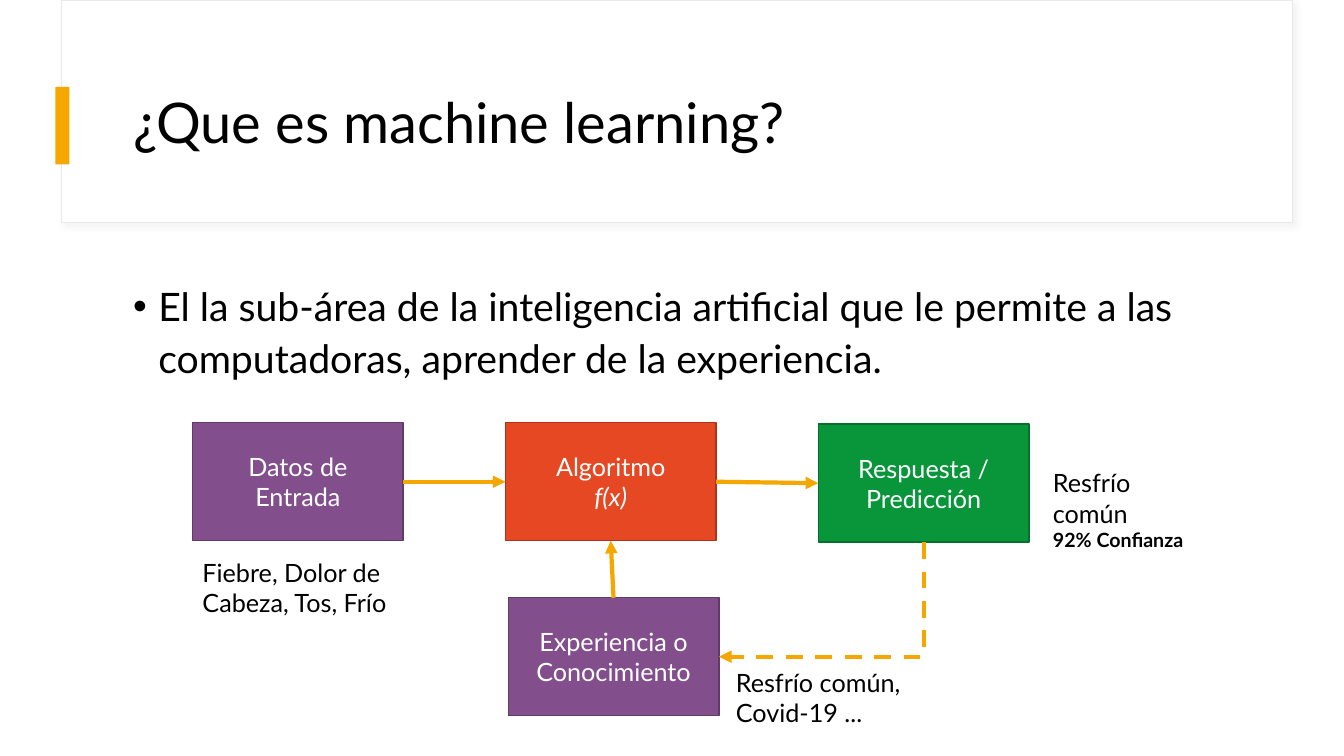
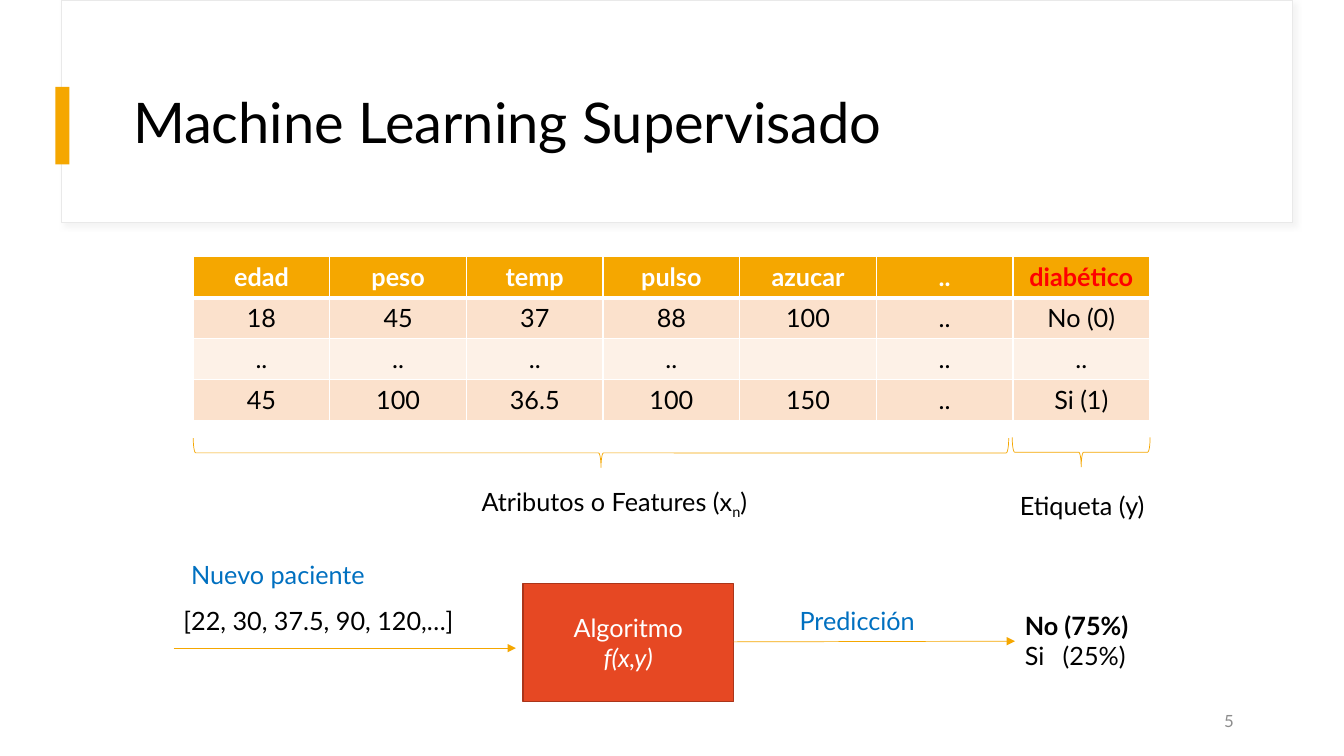
from dataclasses import dataclass

import pptx
import pptx.dml.color
import pptx.enum.dml
import pptx.enum.shapes
import pptx.enum.text
import pptx.oxml
import pptx.oxml.ns
import pptx.util

Pt = pptx.util.Pt
qn = pptx.oxml.ns.qn
SHAPE = pptx.enum.shapes.MSO_SHAPE
CONNECTOR = pptx.enum.shapes.MSO_CONNECTOR
ALIGN = pptx.enum.text.PP_ALIGN
ANCHOR = pptx.enum.text.MSO_ANCHOR
NS = 'xmlns:a="http://schemas.openxmlformats.org/drawingml/2006/main"'

FONT = "Lato"
AMBER, BLACK, WHITE, BLUE, RED = "F5A700", "000000", "FFFFFF", "0070C0", "FF0000"
PURPLE, ORANGE, GREEN = ("824F8C", "603A68"), ("E64823", "AA351A"), ("09963B", "076F2C")
BAND_DARK, BAND_LIGHT, GREY = "FBE1CC", "FDF1E7", "8C8C8C"

BOX_W, BOX_H = 150.5, 84.25
TOP, LEFT, BOTTOM, RIGHT = range(4)  # connection sites of a rectangle


@dataclass
class Box:
    text: str
    x: float
    y: float
    colors: tuple[str, str]


@dataclass
class Label:
    text: str
    x: float
    y: float
    w: float
    h: float = 28.8
    color: str = BLACK


# Helpers
def rgb(color: str) -> pptx.dml.color.RGBColor:
    return pptx.dml.color.RGBColor.from_string(color)


def xml(markup: str):
    return pptx.oxml.parse_xml(markup)


def format_runs(tf, size: float, color: str, bold: bool = False, align=None) -> list:
    """Style every run of a text frame and return the runs."""
    runs = []
    for p in tf.paragraphs:
        p.alignment = align
        for r in p.runs:
            r.font.name = FONT
            r.font.size = Pt(size)
            r.font.bold = bold
            r.font.color.rgb = rgb(color)
            runs.append(r)
    return runs


def add_rect(s, x: float, y: float, w: float, h: float, fill: str,
             line: str | None = None, line_w: float = 1):
    sp = s.shapes.add_shape(SHAPE.RECTANGLE, Pt(x), Pt(y), Pt(w), Pt(h))
    sp.shadow.inherit = False
    sp.fill.solid()
    sp.fill.fore_color.rgb = rgb(fill)
    if line:
        sp.line.color.rgb = rgb(line)
        sp.line.width = Pt(line_w)
    else:
        sp.line.fill.background()
    return sp


def add_text(s, x: float, y: float, w: float, h: float, text: str,
             size: float = 18, color: str = BLACK, anchor=ANCHOR.TOP, align=None):
    sp = s.shapes.add_textbox(Pt(x), Pt(y), Pt(w), Pt(h))
    tf = sp.text_frame
    tf.word_wrap = True
    tf.vertical_anchor = anchor
    tf.text = text
    format_runs(tf, size, color, align=align)
    return sp


def add_label(s, label: Label):
    sp = add_text(s, label.x, label.y, label.w, label.h, label.text, color=label.color)
    sp.text_frame.auto_size = pptx.enum.text.MSO_AUTO_SIZE.SHAPE_TO_FIT_TEXT
    return sp


def add_box(s, box: Box):
    """Draw a box; a second line after a line break is set in italics."""
    sp = add_rect(s, box.x, box.y, BOX_W, BOX_H, *box.colors)
    tf = sp.text_frame
    tf.word_wrap = True
    tf.vertical_anchor = ANCHOR.MIDDLE
    tf.text = box.text
    format_runs(tf, 18, WHITE, align=ALIGN.CENTER)
    for r in tf.paragraphs[0].runs[1:]:
        r.font.italic = True
    return sp


def add_arrow(s, x1: float = 0, y1: float = 0, x2: float = 0, y2: float = 0,
              width: float = 3, kind=CONNECTOR.STRAIGHT):
    c = s.shapes.add_connector(kind, Pt(x1), Pt(y1), Pt(x2), Pt(y2))
    c.line.color.rgb = rgb(AMBER)
    c.line.width = Pt(width)
    c.line._get_or_add_ln().append(xml(f'<a:tailEnd {NS} type="triangle"/>'))
    c._element.spPr.append(xml(f"<a:effectLst {NS}/>"))
    return c


def link(s, start, start_site: int, end, end_site: int) -> None:
    c = add_arrow(s)
    c.begin_connect(start, start_site)
    c.end_connect(end, end_site)


def link_down_left(s, start, end) -> None:
    """Dashed arrow from the bottom of one box, down and left into another."""
    x1, y1 = start.left + start.width // 2, start.top + start.height
    x2, y2 = end.left + end.width, end.top + end.height // 2
    c = add_arrow(s, kind=CONNECTOR.ELBOW)
    c.begin_connect(start, BOTTOM)
    c.end_connect(end, RIGHT)
    c.line.dash_style = pptx.enum.dml.MSO_LINE.DASH
    # A quarter turn swaps the width and the height
    xfrm = c._element.spPr.find(qn("a:xfrm"))
    for flip in ("flipH", "flipV"):
        xfrm.attrib.pop(flip, None)
    xfrm.set("rot", "5400000")
    c._element.spPr.find(qn("a:prstGeom")).set("prst", "bentConnector2")
    w, h = y2 - y1, x1 - x2
    c.left, c.top = (x1 + x2 - w) // 2, (y1 + y2 - h) // 2
    c.width, c.height = w, h


def add_brace(s, x: float, y: float, span: float, depth: float = 21) -> None:
    """Horizontal brace that points down."""
    sp = s.shapes.add_shape(SHAPE.RIGHT_BRACE, Pt(x + (span - depth) / 2),
                            Pt(y + (depth - span) / 2), Pt(depth), Pt(span))
    sp.rotation = 90
    sp.shadow.inherit = False
    sp.fill.background()
    sp.line.color.rgb = rgb(AMBER)
    sp.line.width = Pt(0.5)


def set_borders(cell, top: float, bottom: float) -> None:
    tc_pr = cell._tc.get_or_add_tcPr()
    for side, width in (("L", 1), ("R", 1), ("T", top), ("B", bottom)):
        tc_pr.append(xml(
            f'<a:ln{side} {NS} w="{Pt(width)}"><a:solidFill>'
            f'<a:srgbClr val="{WHITE}"/></a:solidFill></a:ln{side}>'))


def add_data_table(s, rows: list[list[str]], x: float, y: float, w: float, h: float) -> None:
    table = s.shapes.add_table(len(rows), len(rows[0]), Pt(x), Pt(y), Pt(w), Pt(h)).table
    for i, row in enumerate(rows):
        header = i == 0
        fill = AMBER if header else BAND_DARK if i % 2 else BAND_LIGHT
        for j, text in enumerate(row):
            cell = table.cell(i, j)
            set_borders(cell, 3 if i == 1 else 1, 3 if header else 1)
            cell.fill.solid()
            cell.fill.fore_color.rgb = rgb(fill)
            cell.text_frame.text = text
            color = BLACK if not header else RED if j == len(row) - 1 else WHITE
            format_runs(cell.text_frame, 18, color, header, ALIGN.CENTER)


# Shared frame: title card, amber marker, title
def new_slide(prs, title: str):
    s = prs.slides.add_slide(prs.slide_layouts[6])
    card = add_rect(s, 44, 0, 879, 159, WHITE, "E9E9E9", 0.75)
    card._element.spPr.find(qn("a:effectLst")).append(xml(
        f'<a:outerShdw {NS} blurRad="{Pt(4)}" dist="{Pt(3)}" dir="2700000">'
        '<a:srgbClr val="D9D9D9"><a:alpha val="30000"/></a:srgbClr></a:outerShdw>'))
    add_rect(s, 39.5, 62, 10, 55.5, AMBER)
    sp = add_text(s, 88, 43, 800.5, 93, title, 40, anchor=ANCHOR.MIDDLE)
    sp.text_frame.paragraphs[0].line_spacing = 0.9
    return s


def build_definition(prs) -> None:
    s = new_slide(prs, "¿Que es machine learning?")

    # Bulleted definition
    sp = add_text(s, 88, 195, 800.5, 291,
                  "El la sub-área de la inteligencia artificial que le permite a las "
                  "computadoras, aprender de la experiencia.", 28)
    p = sp.text_frame.paragraphs[0]
    p.line_spacing = 1.1
    p_pr = p._p.get_or_add_pPr()
    p_pr.set("marL", str(Pt(18)))
    p_pr.set("indent", str(-Pt(18)))
    p_pr.append(xml(f'<a:buFont {NS} typeface="Arial"/>'))
    p_pr.append(xml(f'<a:buChar {NS} char="•"/>'))

    # Flow boxes and arrows
    data, algorithm, answer, experience = [add_box(s, box) for box in (
        Box("Datos de Entrada", 137.5, 302, PURPLE),
        Box("Algoritmo\vf(x)", 361, 302, ORANGE),
        Box("Respuesta / Predicción", 584.5, 303, GREEN),
        Box("Experiencia o\nConocimiento", 363, 427, PURPLE),
    )]
    link(s, data, RIGHT, algorithm, LEFT)
    link(s, algorithm, RIGHT, answer, LEFT)
    link(s, experience, TOP, algorithm, BOTTOM)
    link_down_left(s, answer, experience)

    # Examples beside the boxes
    add_label(s, Label("Fiebre, Dolor de Cabeza, Tos, Frío", 137.5, 394.5, BOX_W, 51))
    add_label(s, Label("Resfrío común,\vCovid-19 ...", 518.5, 473, 258, 51))
    sp = add_label(s, Label("Resfrío común\v92% Confianza", 745, 330.5, 126.5, 46))
    confidence = sp.text_frame.paragraphs[0].runs[1]
    confidence.font.size = Pt(14)
    confidence.font.bold = True


def build_supervised(prs) -> None:
    s = new_slide(prs, "Machine Learning Supervisado")
    add_text(s, 672.5, 500.5, 216, 28.8, "5", 12, GREY, ANCHOR.MIDDLE, ALIGN.RIGHT)

    # Training data
    add_data_table(s, [
        ["edad", "peso", "temp", "pulso", "azucar", "..", "diabético"],
        ["18", "45", "37", "88", "100", "..", "No (0)"],
        ["..", "..", "..", "..", "", "..", ".."],
        ["45", "100", "36.5", "100", "150", "..", "Si (1)"],
    ], 138, 183.5, 683.2, 116.8)

    # Braces and their captions
    add_brace(s, 138, 313, 582.5)
    add_brace(s, 723, 312.5, 98.5)
    add_label(s, Label("Etiqueta (y)", 721.5, 346.5, 113))
    sp = add_label(s, Label("Atributos o Features (x", 337, 343.5, 265.5))
    p = sp.text_frame.paragraphs[0]
    for text in ("n", ")"):
        p.add_run().text = text
    runs = format_runs(sp.text_frame, 18, BLACK)
    runs[1].font._element.set("baseline", "-25000")

    # Prediction for a new patient
    add_box(s, Box("Algoritmo\vf(x,y)", 373.5, 417, ORANGE))
    add_arrow(s, 124, 463, 368.5, 463, 0.5)
    add_arrow(s, 524, 458.5, 725, 458, 0.5)
    for label in (
        Label("[22, 30, 37.5, 90, 120,…]", 124, 429, 265.5),
        Label("Nuevo paciente", 129.5, 396, BOX_W, color=BLUE),
        Label("Predicción", 564, 429, BOX_W, color=BLUE),
    ):
        add_label(s, label)
    sp = add_label(s, Label("No (75%)\nSi\t(25%)", 725, 432.5, 103.5, 51))
    likely, unlikely = sp.text_frame.paragraphs
    likely.runs[0].font.bold = True
    unlikely._p.get_or_add_pPr().append(xml(
        f'<a:tabLst {NS}><a:tab pos="{Pt(27)}" algn="l"/></a:tabLst>'))


def main() -> None:
    prs = pptx.Presentation()
    prs.slide_width, prs.slide_height = Pt(960), Pt(540)
    build_definition(prs)
    build_supervised(prs)
    prs.save("out.pptx")


if __name__ == "__main__":
    main()
